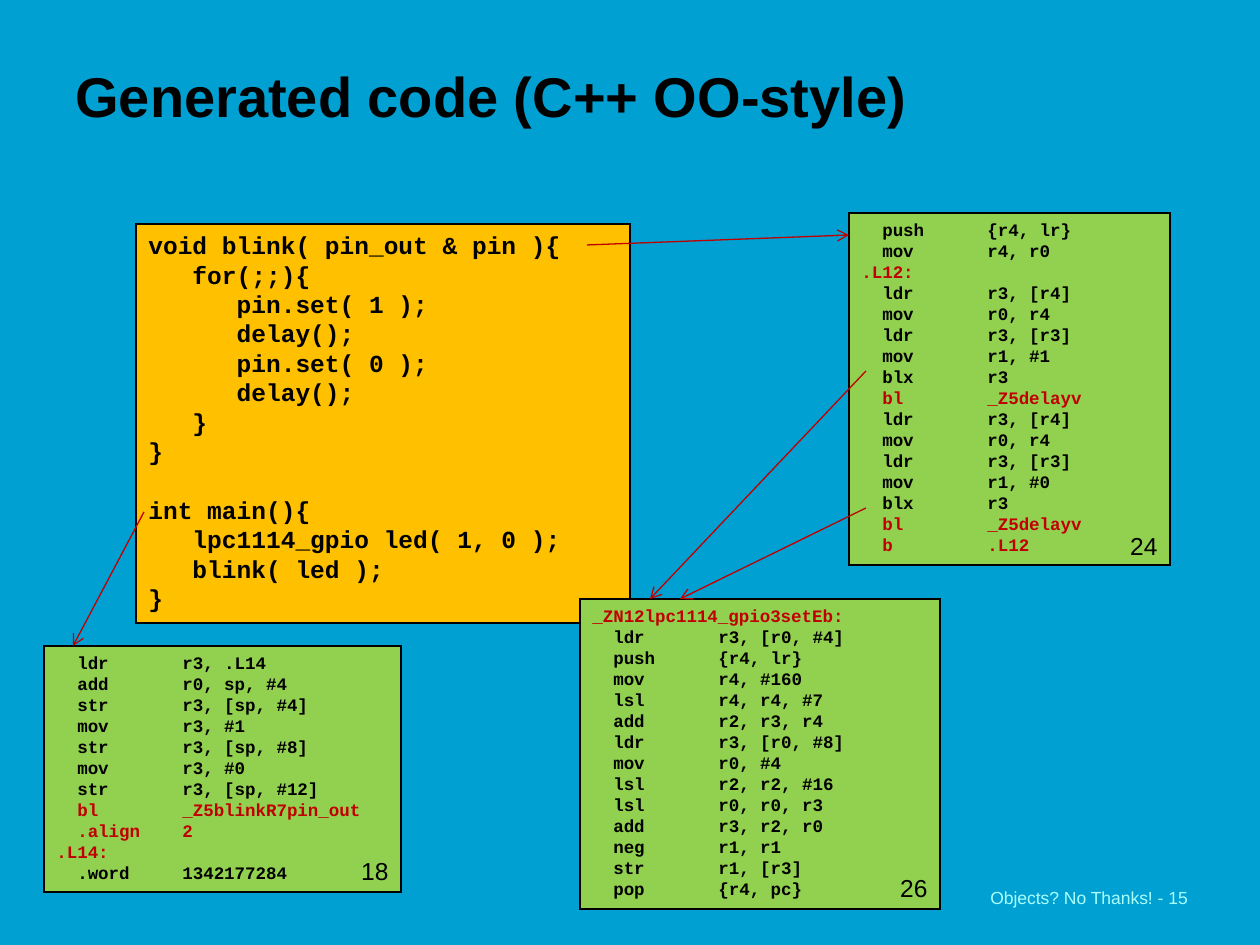
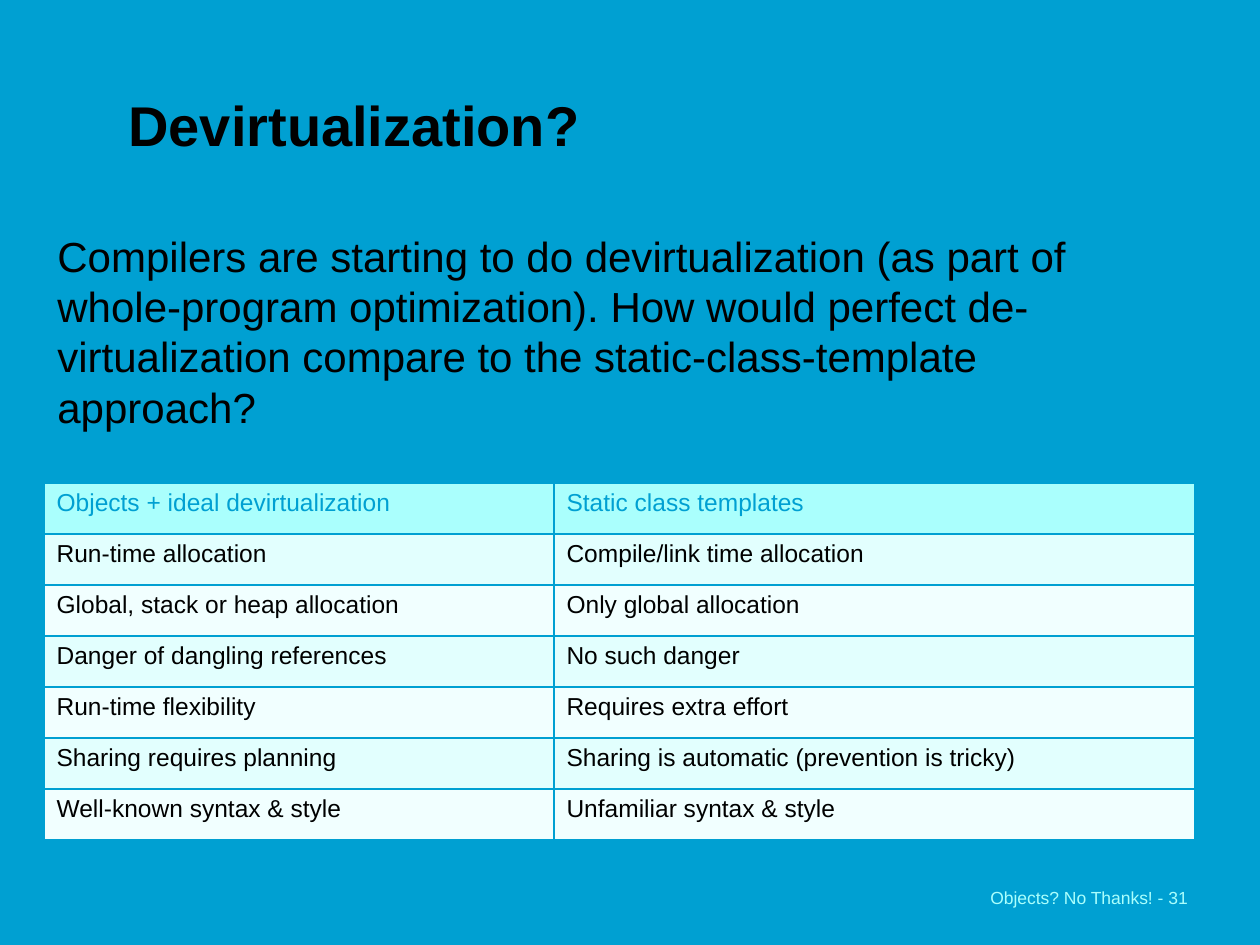
from lxml import etree
from pptx import Presentation
from pptx import util as u
from pptx.dml.color import RGBColor
from pptx.enum import shapes, text
from pptx.oxml import ns

PX = 914400 / 126
COLORS = {
    "back": "00A0D2", "ink": "000000", "red": "C00000",
    "source": "FFC000", "assembly": "92D050",
    "pale": "AAFFFD", "row_dark": "E2FFFE", "row_light": "F1FFFF",
}
RGB = {name: RGBColor.from_string(value) for name, value in COLORS.items()}
RED_STARTS = ("bl\t", "b\t", ".L", ".align", "_ZN")


def box(*lengths):
    """Turn px lengths into EMU."""
    return [u.Emu(round(n * PX)) for n in lengths]


def write(p, words, size, color="ink", bold=False, font="Arial"):
    r = p.add_run()
    r.text = words
    r.font.name, r.font.size, r.font.bold = font, u.Pt(size), bold
    r.font.color.rgb = RGB[color]


prs = Presentation()
prs.slide_width, prs.slide_height = box(1260, 945)
fill = prs.slide_master.background.fill
fill.solid()
fill.fore_color.rgb = RGB["back"]

# Title and footer of each slide
pages = [
    ("Generated code (C++ OO-style)", (63, -14, 984, 149), 15),
    ("Devirtualization?", (116, 84, 850, 80), 31),
]
slides = []
for title, place, number in pages:
    s = prs.slides.add_slide(prs.slide_layouts[6])
    slides.append(s)
    tf = s.shapes.add_textbox(*box(*place)).text_frame
    tf.word_wrap = True
    tf.vertical_anchor = text.MSO_ANCHOR.BOTTOM
    write(tf.paragraphs[0], title, 32, bold=True)
    tf = s.shapes.add_textbox(*box(978, 866, 262, 63)).text_frame
    tf.word_wrap = True
    tf.vertical_anchor = text.MSO_ANCHOR.MIDDLE
    write(tf.paragraphs[0], f"Objects? No Thanks! - {number}", 10, "pale")

# Slide 1: source code and the assembly it becomes
s = slides[0]
blink_source = """\
void blink( pin_out & pin ){
   for(;;){
      pin.set( 1 );
      delay();
      pin.set( 0 );
      delay();
   }
}
int main(){
   lpc1114_gpio led( 1, 0 );
   blink( led );
}"""
main_assembly = """\
  ldr\tr3, .L14
  add\tr0, sp, #4
  str\tr3, [sp, #4]
  mov\tr3, #1
  str\tr3, [sp, #8]
  mov\tr3, #0
  str\tr3, [sp, #12]
  bl\t_Z5blinkR7pin_out
  .align\t2
.L14:
  .word\t1342177284"""
blink_assembly = """\
  push\t{r4, lr}
  mov\tr4, r0
.L12:
  ldr\tr3, [r4]
  mov\tr0, r4
  ldr\tr3, [r3]
  mov\tr1, #1
  blx\tr3
  bl\t_Z5delayv
  ldr\tr3, [r4]
  mov\tr0, r4
  ldr\tr3, [r3]
  mov\tr1, #0
  blx\tr3
  bl\t_Z5delayv
  b\t.L12"""
set_assembly = """\
_ZN12lpc1114_gpio3setEb:
  ldr\tr3, [r0, #4]
  push\t{r4, lr}
  mov\tr4, #160
  lsl\tr4, r4, #7
  add\tr2, r3, r4
  ldr\tr3, [r0, #8]
  mov\tr0, #4
  lsl\tr2, r2, #16
  lsl\tr0, r0, r3
  add\tr3, r2, r0
  neg\tr1, r1
  str\tr1, [r3]
  pop\t{r4, pc}"""
# code, place, fill, text size, instruction count and top of the count
listings = [
    (blink_source, (136, 224, 494, 399), "source", 14, None, None),
    (main_assembly, (44, 646, 357, 246), "assembly", 10, 18, 850),
    (blink_assembly, (849, 213, 321, 352), "assembly", 10, 24, 525),
    (set_assembly, (580, 599, 360, 310), "assembly", 10, 26, 867),
]
for code, (x, y, w, h), color, size, count, count_top in listings:
    sp = s.shapes.add_shape(shapes.MSO_SHAPE.RECTANGLE, *box(x, y, w, h))
    sp.shadow.inherit = False
    sp.fill.solid()
    sp.fill.fore_color.rgb = RGB[color]
    sp.line.color.rgb = RGB["ink"]
    sp.line.width = u.Pt(0.75)
    etree.SubElement(sp.line._get_or_add_ln(), ns.qn("a:miter"), lim="800000")
    tf = sp.text_frame
    tf.word_wrap = True
    tf.vertical_anchor = text.MSO_ANCHOR.TOP
    for i, line in enumerate(code.split("\n")):
        p = tf.add_paragraph() if i else tf.paragraphs[0]
        p.alignment = text.PP_ALIGN.LEFT
        p.line_spacing = u.Pt(1.2 * size)
        if line.startswith("int main"):
            p.space_before = u.Pt(1.2 * size)
        tabs = etree.SubElement(p._p.get_or_add_pPr(), ns.qn("a:tabLst"))
        etree.SubElement(tabs, ns.qn("a:tab"), pos=str(u.Inches(1)), algn="l")
        red = line.strip().startswith(RED_STARTS)
        write(p, line, size, "red" if red else "ink", True, "Courier New")
    if count:
        corner = box(x + w - 53, count_top, 53, 43)
        tf = s.shapes.add_textbox(*corner).text_frame
        tf.word_wrap = False
        p = tf.paragraphs[0]
        p.alignment = text.PP_ALIGN.RIGHT
        write(p, str(count), 14)

arrows = [
    (587, 245, 849, 235), (144, 512, 73, 646),
    (866, 508, 680, 599), (866, 371, 650, 599),
]
for ends in arrows:
    c = s.shapes.add_connector(shapes.MSO_CONNECTOR.STRAIGHT, *box(*ends))
    c.line.color.rgb = RGB["red"]
    c.line.width = u.Pt(0.75)
    etree.SubElement(c.line._get_or_add_ln(), ns.qn("a:tailEnd"), type="arrow")
    etree.SubElement(c._element.spPr, ns.qn("a:effectLst"))

# Slide 2: question and comparison table
s = slides[1]
tf = s.shapes.add_textbox(*box(45, 224, 1150, 217)).text_frame
tf.word_wrap = True
p = tf.paragraphs[0]
p.line_spacing = u.Pt(28.8)
write(p, "Compilers are starting to do devirtualization (as part of "
         "whole-program optimization). How would perfect de-virtualization "
         "compare to the static-class-template approach?", 24)

comparison = [
    ("Objects + ideal devirtualization", "Static class templates"),
    ("Run-time allocation", "Compile/link time allocation"),
    ("Global, stack or heap allocation", "Only global allocation"),
    ("Danger of dangling references", "No such danger"),
    ("Run-time flexibility", "Requires extra effort"),
    ("Sharing requires planning", "Sharing is automatic (prevention is tricky)"),
    ("Well-known syntax & style", "Unfamiliar syntax & style"),
]
rows = len(comparison)
table = s.shapes.add_table(rows, 2, *box(44, 483, 1151, 51 * rows)).table
table.columns[0].width, table.columns[1].width = box(510, 641)
for i, texts in enumerate(comparison):
    table.rows[i].height = box(51)[0]
    shade = ("row_dark" if i % 2 else "row_light") if i else "pale"
    for j, words in enumerate(texts):
        cell = table.cell(i, j)
        tcPr = cell._tc.get_or_add_tcPr()
        for side in ("lnL", "lnR", "lnT", "lnB"):
            ln = etree.SubElement(tcPr, ns.qn(f"a:{side}"), w=str(u.Pt(1)))
            solid = etree.SubElement(ln, ns.qn("a:solidFill"))
            etree.SubElement(solid, ns.qn("a:srgbClr"), val=COLORS["back"])
        cell.fill.solid()
        cell.fill.fore_color.rgb = RGB[shade]
        write(cell.text_frame.paragraphs[0], words, 14, "ink" if i else "back")

prs.save("out.pptx")
